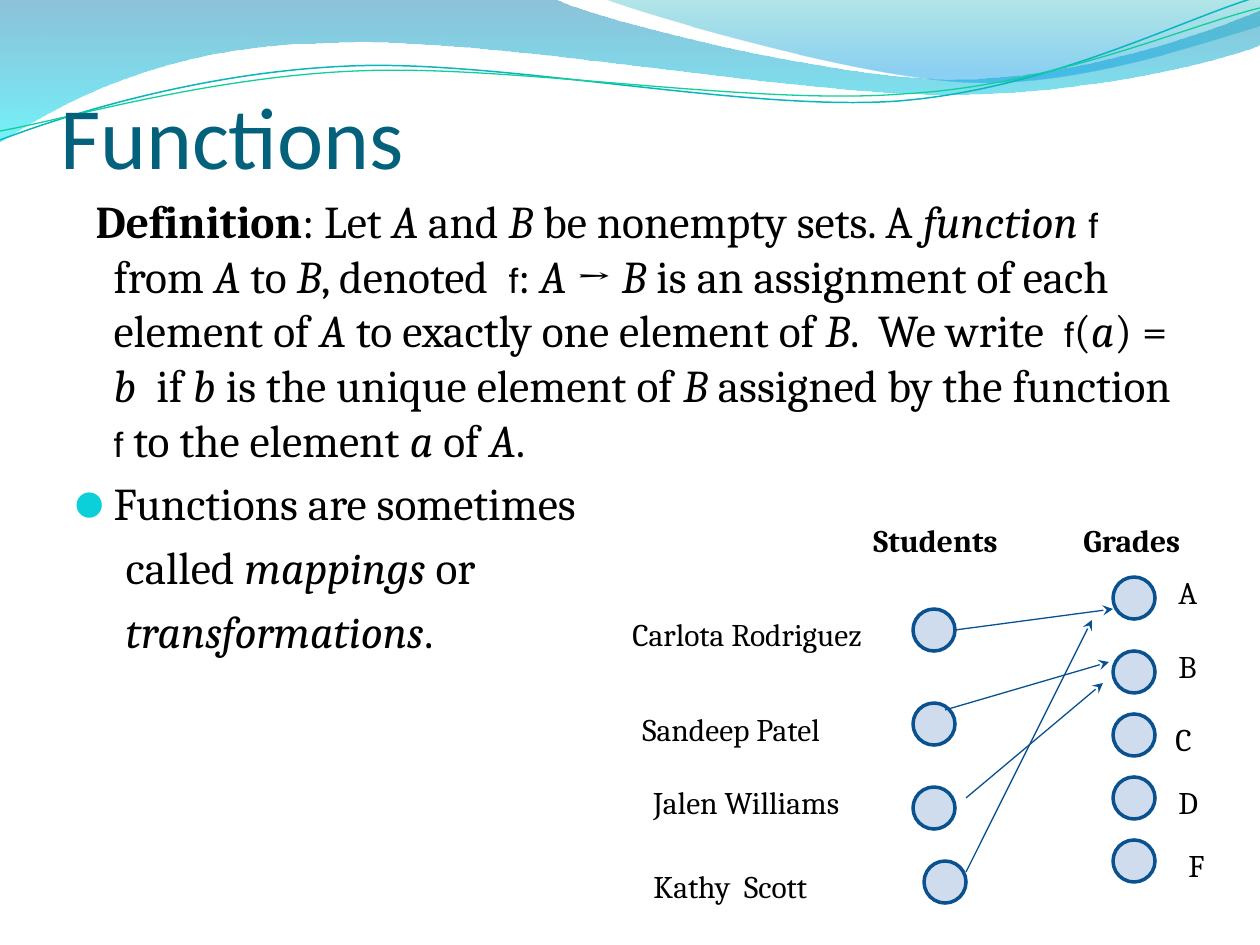
from lxml.etree import SubElement
from pptx import Presentation
from pptx.dml.color import RGBColor
from pptx.enum.shapes import MSO_CONNECTOR, MSO_SHAPE
from pptx.enum.text import MSO_ANCHOR, MSO_AUTO_SIZE, PP_ALIGN
from pptx.oxml import parse_xml
from pptx.oxml.ns import nsdecls, qn
from pptx.util import Emu, Pt

EMU_PER_PX = 914400 / 126
CIRCLE_SIZE = 42
LABEL_HEIGHT = 50

UPPER_WAVE = [
    (0, 0), (554, -1), (600, 21, 837, 79, 955, 79), (1075, 79, 1207, 33, 1260, 11),
    (1261, 45), (1239, 55, 1096, 96, 940, 94), (784, 94, 481, 35, 324, 43),
    (163, 45, 58, 105, -1, 142),
]
RIGHT_WAVE = [
    (604, -1), (641, 14, 859, 78, 969, 82), (1079, 87, 1211, 40, 1260, 26), (1260, 0),
]
BLUE_STRAND = [
    (0, 140), (60, 117, 199, 72, 349, 66), (498, 59, 747, 112, 898, 101),
    (1050, 89, 1182, 19, 1257, -3),
]
GREEN_STRAND = [
    (0, 131), (59, 121, 207, 77, 357, 71), (508, 64, 752, 106, 903, 94),
    (1053, 86, 1186, 26, 1260, 8),
]
DEFINITION = (
    ": Let |A| and |B |be nonempty sets. A |function ||f| from |A| to |B|, denoted  |f|: "
    "|A| → |B |is an assignment of each element of |A| to exactly one element of |B|.  "
    "We write  |f|(|a|) = |b  |if |b| is the unique element of |B| assigned by the "
    "function |f| to the element |a| of |A|."
)
STUDENTS = [
    ("Carlota Rodriguez", 620, 609, 325, 913, 609),
    ("Sandeep Patel", 630, 704, 273, 913, 703),
    ("Jalen Williams", 641, 777, 325, 913, 787),
    ("Kathy  Scott", 641, 861, 231, 924, 861),
]
GRADES = [
    ("A", 1166, 567, 577),
    ("B", 1166, 641, 651),
    ("C", 1163, 714, 714),
    ("D", 1166, 777, 777),
    ("F", 1176, 840, 840),
]
ARROWS = [
    (955, 630, 1113, 609), (966, 798, 1103, 683),
    (945, 710, 1109, 662), (966, 872, 1092, 620),
]


def px(length):
    """Turn pixels into EMU."""
    return Emu(round(length * EMU_PER_PX))


def colour(value):
    """Turn a hex string into a colour."""
    return RGBColor.from_string(value)


def write(para, text, size=18, font="Cambria", ink="000000", bold=False, italic=False):
    """Add one formatted span to a paragraph."""
    span = para.add_run()
    span.text = text
    span.font.size = Pt(size)
    span.font.name = font
    span.font.color.rgb = colour(ink)
    span.font.bold = bold
    span.font.italic = italic


def write_marked(para, text):
    """Write body text whose parts between bars are italic, or the symbol f."""
    for index, part in enumerate(text.split("|")):
        if index % 2 and part == "f":
            write(para, part, size=20, font="Arial")
        elif part:
            write(para, part, size=26, italic=index % 2 == 1)


def indent(para, margin, first=0, bullet=None, before=5.2):
    """Set the indents, the bullet and the space before a paragraph."""
    props = para._p.get_or_add_pPr()
    props.set("marL", str(px(margin)))
    props.set("indent", str(px(first)))
    if bullet:
        tint = SubElement(props, qn("a:buClr"))
        SubElement(tint, qn("a:srgbClr")).set("val", "0BD0D9")
        SubElement(props, qn("a:buChar")).set("char", bullet)
    else:
        SubElement(props, qn("a:buNone"))
    para.space_before = Pt(before)


def place(box, left, top, width, height):
    """Move and size a shape in pixels."""
    box.left, box.top, box.width, box.height = map(px, (left, top, width, height))


def add_outline(page, steps, closed):
    """Draw a freeform of straight and cubic steps behind the title."""
    points = [step[i:i + 2] for step in steps for i in range(0, len(step), 2)]
    builder = page.shapes.build_freeform(*points[0], scale=EMU_PER_PX)
    builder.add_line_segments(points[1:], close=closed)
    outline = builder.convert_to_shape()
    outline.shadow.inherit = False
    segments = iter(list(outline.element.iter(qn("a:lnTo"))))
    for step in steps[1:]:
        segment = next(segments)
        if len(step) == 6:
            curve = parse_xml(f'<a:cubicBezTo {nsdecls("a")}/>')
            segment.addprevious(curve)
            for control in (segment, next(segments), next(segments)):
                curve.append(control[0])
                control.getparent().remove(control)
    page.shapes.title.element.addprevious(outline.element)
    return outline


def add_wave(page, steps, stops):
    """Draw a wave with a translucent gradient from top to bottom."""
    wave = add_outline(page, steps, True)
    wave.line.fill.background()
    marks = "".join(
        f'<a:gs pos="{position * 1000}"><a:srgbClr val="{tint}">'
        f'<a:alpha val="{alpha * 1000}"/></a:srgbClr></a:gs>'
        for position, tint, alpha in stops
    )
    gradient = parse_xml(
        f'<a:gradFill {nsdecls("a")} rotWithShape="1"><a:gsLst>{marks}</a:gsLst>'
        '<a:lin ang="5400000" scaled="0"/></a:gradFill>'
    )
    wave.element.spPr.find(qn("a:ln")).addprevious(gradient)


def add_strand(page, steps, tint, width):
    """Draw a thin curved line."""
    strand = add_outline(page, steps, False)
    strand.fill.background()
    strand.line.color.rgb = colour(tint)
    strand.line.width = Pt(width)


def add_label(page, text, left, top, width, bold=False):
    """Add a one-line label."""
    box = page.shapes.add_textbox(*map(px, (left, top, width, LABEL_HEIGHT)))
    box.text_frame.word_wrap = True
    write(box.text_frame.paragraphs[0], text, bold=bold)


def add_circle(page, left, top):
    """Add a translucent circle for one element of a set."""
    circle = page.shapes.add_shape(
        MSO_SHAPE.FLOWCHART_CONNECTOR, *map(px, (left, top, CIRCLE_SIZE, CIRCLE_SIZE)))
    circle.shadow.inherit = False
    circle.fill.solid()
    circle.fill.fore_color.rgb = colour("4F81BD")
    tint = circle.element.spPr.find(qn("a:solidFill")).find(qn("a:srgbClr"))
    SubElement(tint, qn("a:alpha")).set("val", "27000")
    circle.line.color.rgb = colour("0A5190")
    circle.line.width = Pt(2)


def add_arrow(page, ends):
    """Add an arrow from a student to a grade."""
    arrow = page.shapes.add_connector(MSO_CONNECTOR.STRAIGHT, *map(px, ends))
    arrow.line.color.rgb = colour("075192")
    arrow.line.width = Pt(0.75)
    stroke = arrow.element.spPr.find(qn("a:ln"))
    SubElement(stroke, qn("a:tailEnd")).set("type", "stealth")
    SubElement(arrow.element.spPr, qn("a:effectLst"))


def fill_title(title):
    """Place and write the title."""
    place(title, 60, 29, 1134, 158)
    frame = title.text_frame
    frame.margin_left = frame.margin_right = frame.margin_bottom = 0
    frame.vertical_anchor = MSO_ANCHOR.BOTTOM
    frame.auto_size = MSO_AUTO_SIZE.NONE
    frame.paragraphs[0].alignment = PP_ALIGN.LEFT
    write(frame.paragraphs[0], "Functions", size=50, font="Calibri", ink="04617B")


def fill_body(body):
    """Place and write the definition and the remark below it."""
    place(body, 63, 187, 1134, 684)
    frame = body.text_frame
    frame.auto_size = MSO_AUTO_SIZE.NONE
    definition = frame.paragraphs[0]
    indent(definition, 38, -18, before=0)
    write(definition, "Definition", size=26, bold=True)
    write_marked(definition, DEFINITION)
    remarks = [
        ("Functions are sometimes", 38, -38, "⚫"),
        ("called |mappings| or", 50, 0, None),
        ("|transformations|.", 50, 0, None),
    ]
    for text, margin, first, bullet in remarks:
        para = frame.add_paragraph()
        indent(para, margin, first, bullet)
        write_marked(para, text)


def main():
    """Build the slide and save the deck."""
    deck = Presentation()
    deck.slide_width, deck.slide_height = px(1260), px(945)
    page = deck.slides.add_slide(deck.slide_layouts[1])
    add_wave(page, UPPER_WAVE, [(0, "0079AD", 45), (100, "00E9F7", 55)])
    add_wave(page, RIGHT_WAVE, [(0, "00ABB4", 30), (80, "0099E4", 45), (100, "0099E4", 45)])
    add_strand(page, BLUE_STRAND, "09B6BE", 0.85)
    add_strand(page, GREEN_STRAND, "10CF9B", 0.75)
    fill_title(page.shapes.title)
    fill_body(page.placeholders[1])
    add_label(page, "Students", 861, 515, 221, bold=True)
    add_label(page, "Grades", 1071, 515, 147, bold=True)
    for name, left, top, width, circle_left, circle_top in STUDENTS:
        add_label(page, name, left, top, width)
        add_circle(page, circle_left, circle_top)
    for grade, left, top, circle_top in GRADES:
        add_label(page, grade, left, top, 32)
        add_circle(page, 1113, circle_top)
    for ends in ARROWS:
        add_arrow(page, ends)
    deck.save("out.pptx")


if __name__ == "__main__":
    main()
